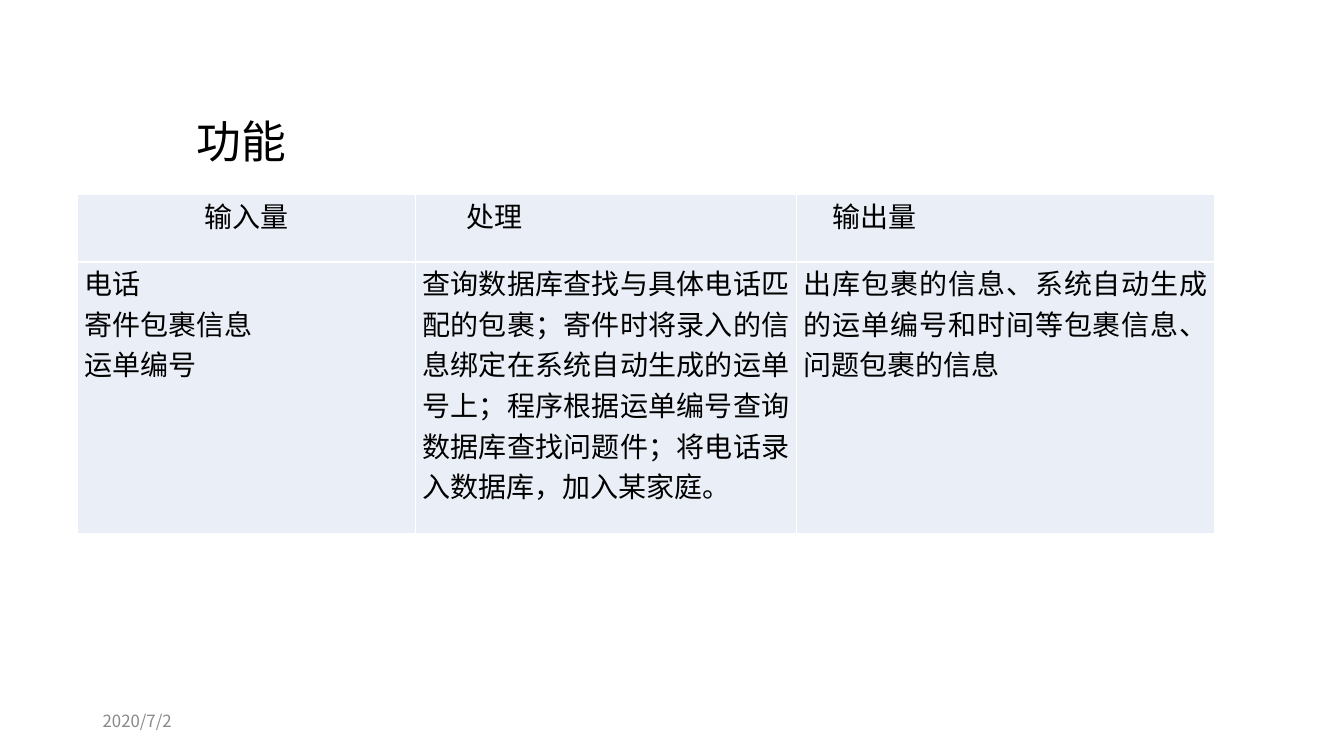
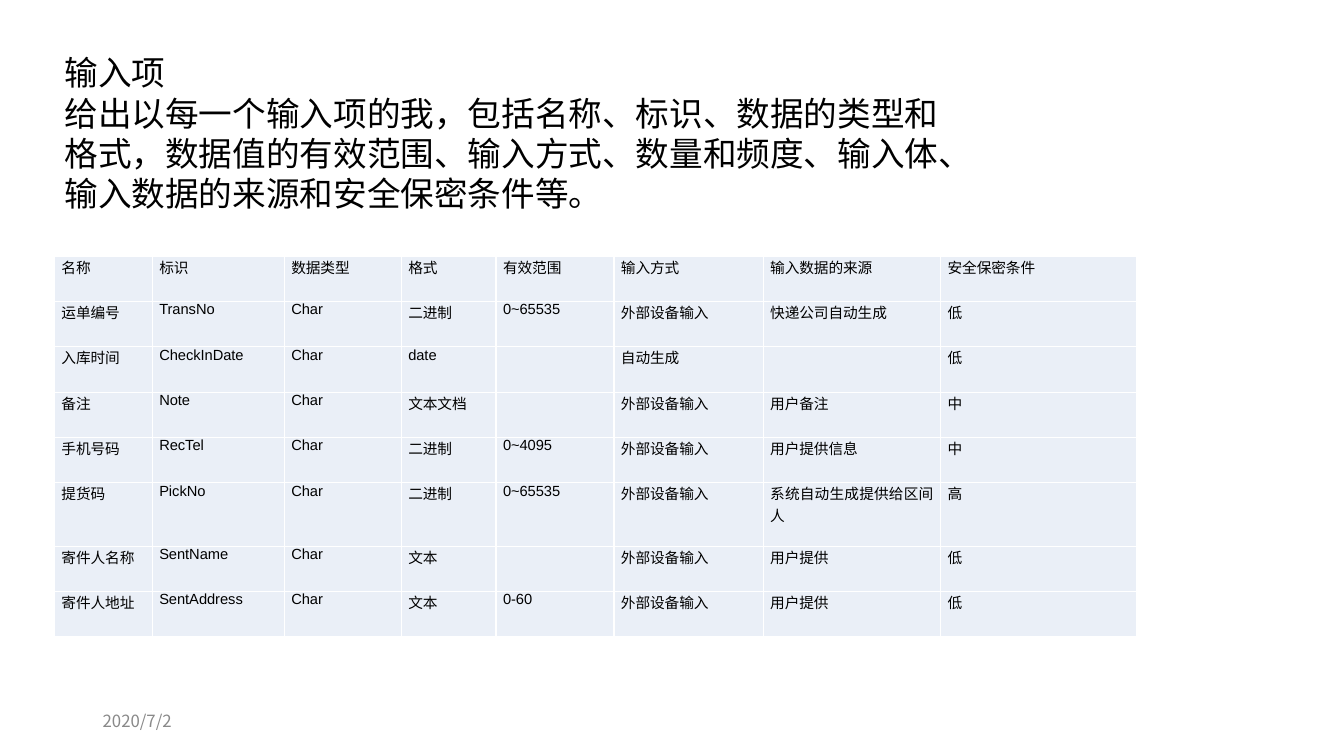
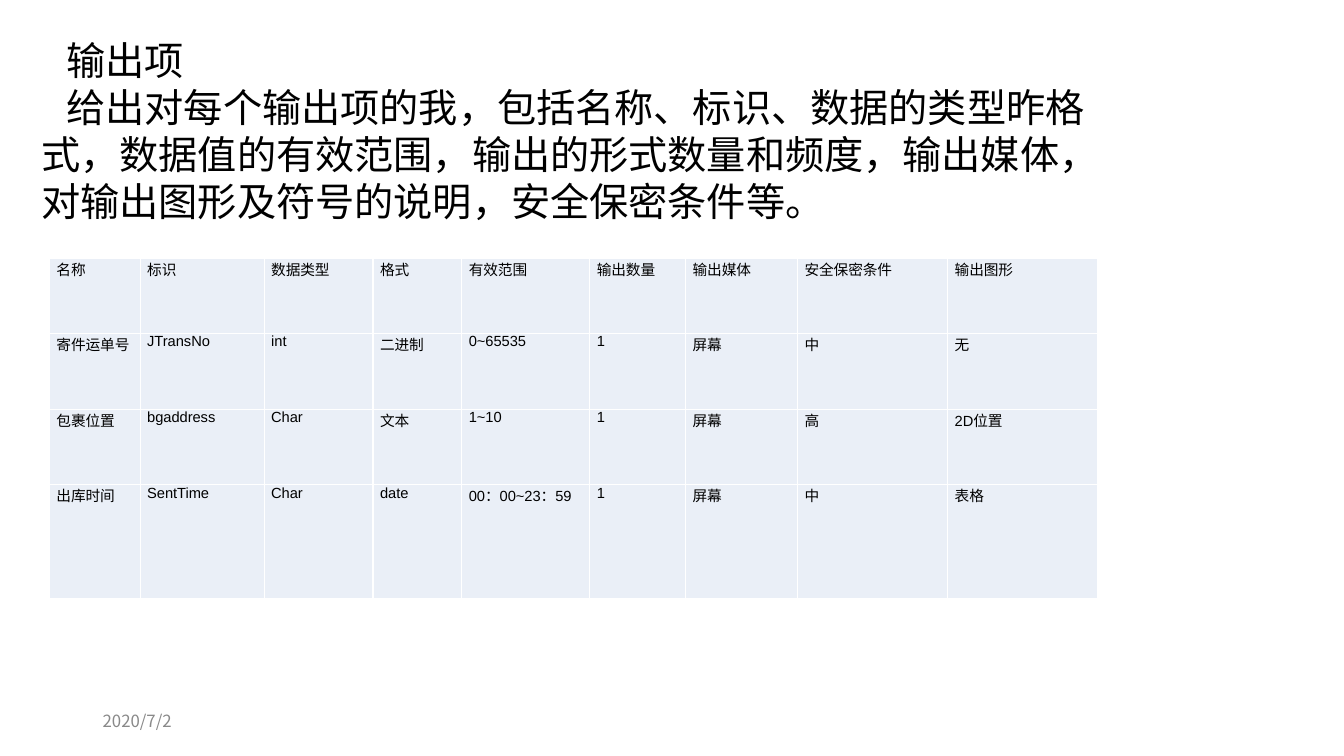
from dataclasses import dataclass

from lxml.etree import SubElement
from pptx import Presentation
from pptx.dml.color import RGBColor
from pptx.enum.text import MSO_ANCHOR as Anchor, MSO_AUTO_SIZE as Fit, PP_ALIGN as Align
from pptx.oxml.ns import qn
from pptx.slide import Slide
from pptx.util import Inches, Pt

BLACK = RGBColor(0x00, 0x00, 0x00)
WHITE = RGBColor(0xFF, 0xFF, 0xFF)
GREY = RGBColor(0x89, 0x89, 0x89)
PALE = RGBColor(0xEA, 0xEF, 0xF7)
SERIF, SANS, CJK = "Times New Roman", "Arial", "Noto Sans CJK SC"
DATE = "2020/7/2"
Box = tuple[float, float, float, float]


@dataclass(frozen=True)
class Title:
    box: Box
    lines: list[str]
    size: float
    indent: float = 0
    wrap: bool = True


@dataclass(frozen=True)
class Cell:
    text: str
    align: Align = Align.JUSTIFY
    indent: float = 0


@dataclass(frozen=True)
class Grid:
    left: float
    top: float
    cols: list[float]
    rows: list[float]
    cells: list[list[str | Cell]]
    size: float = 10.5


@dataclass(frozen=True)
class Page:
    title: Title
    grid: Grid


PAGES = [
    Page(
        Title((1.56, 1.07, 1.39, 0.64), ["功能"], 32, 0.29, False),
        Grid(0.77, 1.93, [3.35, 3.78, 4.15], [0.67, 2.69], [
            [Cell("输入量", Align.CENTER), Cell("处理", indent=0.44), Cell("输出量", indent=0.29)],
            ["电话\n寄件包裹信息\n运单编号",
             "查询数据库查找与具体电话匹配的包裹；寄件时将录入的信息绑定在系统自动生成的运单号上；"
             "程序根据运单编号查询数据库查找问题件；将电话录入数据库，加入某家庭。",
             "出库包裹的信息、系统自动生成的运单编号和时间等包裹信息、问题包裹的信息"],
        ], 20),
    ),
    Page(
        Title((0.54, 0.46, 8.87, 1.72), [
            "输入项",
            "给出以每一个输入项的我，包括名称、标识、数据的类型和格式，数据值的有效范围、输入方式、"
            "数量和频度、输入体、输入数据的来源和安全保密条件等。"], 24),
        Grid(0.54, 2.54, [0.97, 1.31, 1.16, 0.94, 1.17, 1.48, 1.76, 1.94],
             [0.45] * 5 + [0.63] + [0.45] * 2, [
            ["名称", "标识", "数据类型", "格式", "有效范围", "输入方式", "输入数据的来源", "安全保密条件"],
            ["运单编号", "TransNo", "Char", "二进制", "0~65535", "外部设备输入", "快递公司自动生成", "低"],
            ["入库时间", "CheckInDate", "Char", "date", "", "自动生成", "", "低"],
            ["备注", "Note", "Char", "文本文档", "", "外部设备输入", "用户备注", "中"],
            ["手机号码", "RecTel", "Char", "二进制", "0~4095", "外部设备输入", "用户提供信息", "中"],
            ["提货码", "PickNo", "Char", "二进制", "0~65535", "外部设备输入", "系统自动生成提供给区间人", "高"],
            ["寄件人名称", "SentName", "Char", "文本", "", "外部设备输入", "用户提供", "低"],
            ["寄件人地址", "SentAddress", "Char", "文本", "0-60", "外部设备输入", "用户提供", "低"],
        ]),
    ),
    Page(
        Title((0.31, 0.3, 10.63, 1.99), [
            "输出项",
            "给出对每个输出项的我，包括名称、标识、数据的类型昨格式，数据值的有效范围，输出的形式数量和频度，"
            "输出媒体，对输出图形及符号的说明，安全保密条件等。"], 28, 0.25),
        Grid(0.49, 2.56, [0.9, 1.23, 1.08, 0.88, 1.27, 0.95, 1.11, 1.49, 1.49],
             [0.75] * 3 + [1.13], [
            ["名称", "标识", "数据类型", "格式", "有效范围", "输出数量", "输出媒体", "安全保密条件", "输出图形"],
            ["寄件运单号", "JTransNo", "int", "二进制", "0~65535", "1", "屏幕", "中", "无"],
            ["包裹位置", "bgaddress", "Char", "文本", "1~10", "1", "屏幕", "高", "2D位置"],
            ["出库时间", "SentTime", "Char", "date", "00：00~23：59", "1", "屏幕", "中", "表格"],
        ]),
    ),
]


def style(para, font: str, size: float, color: RGBColor, align: Align = Align.LEFT, indent: float = 0) -> None:
    """Set the font, alignment and first-line indent of a paragraph."""
    para.font.name, para.font.size, para.font.bold = font, Pt(size), False
    para.font.color.rgb = color
    para.alignment = align
    if indent:
        props = para._p.get_or_add_pPr()
        props.set("marL", "0")
        props.set("indent", str(Inches(indent)))


def edge(cell) -> None:
    """Draw a thin white border on all four sides of a cell."""
    props = cell._tc.get_or_add_tcPr()
    for at, side in enumerate(("lnL", "lnR", "lnT", "lnB")):
        line = SubElement(props, qn(f"a:{side}"), w=str(Pt(1)))
        fill = SubElement(line, qn("a:solidFill"))
        SubElement(fill, qn("a:srgbClr"), val=str(WHITE))
        props.insert(at, line)


def add_title(slide: Slide, title: Title) -> None:
    """Place and format the title placeholder."""
    shape = slide.shapes.title
    shape.left, shape.top, shape.width, shape.height = map(Inches, title.box)
    frame = shape.text_frame
    frame.text = "\n".join(title.lines)
    frame.word_wrap, frame.auto_size = title.wrap, Fit.NONE
    frame.vertical_anchor = Anchor.MIDDLE
    for para in frame.paragraphs:
        style(para, SERIF, title.size, BLACK, indent=title.indent)
        para.line_spacing = Pt(title.size * 1.2)


def add_date(slide: Slide) -> None:
    """Add the date at the foot of a slide."""
    frame = slide.shapes.add_textbox(*map(Inches, (0.92, 6.95, 3, 0.4))).text_frame
    frame.word_wrap, frame.vertical_anchor = True, Anchor.MIDDLE
    frame.text = DATE
    style(frame.paragraphs[0], CJK, 12, GREY)


def add_grid(slide: Slide, grid: Grid) -> None:
    """Add a table of pale cells with white borders."""
    size = map(Inches, (grid.left, grid.top, sum(grid.cols), sum(grid.rows)))
    table = slide.shapes.add_table(len(grid.rows), len(grid.cols), *size).table
    table.first_row = table.horz_banding = False
    for col, width in zip(table.columns, grid.cols):
        col.width = Inches(width)
    for row, height, items in zip(table.rows, grid.rows, grid.cells):
        row.height = Inches(height)
        for cell, item in zip(row.cells, items):
            data = item if isinstance(item, Cell) else Cell(item)
            cell.text = data.text
            cell.margin_left = cell.margin_right = Inches(0.07)
            cell.margin_top = cell.margin_bottom = 0
            cell.fill.solid()
            cell.fill.fore_color.rgb = PALE
            edge(cell)
            for para in cell.text_frame.paragraphs:
                style(para, SANS, grid.size, BLACK, data.align, data.indent)


def main() -> None:
    """Build the deck and save it."""
    deck = Presentation()
    deck.slide_width, deck.slide_height = Inches(13.33), Inches(7.5)
    for page in PAGES:
        slide = deck.slides.add_slide(deck.slide_layouts[5])
        add_date(slide)
        add_grid(slide, page.grid)
        add_title(slide, page.title)
    deck.save("out.pptx")


if __name__ == "__main__":
    main()
